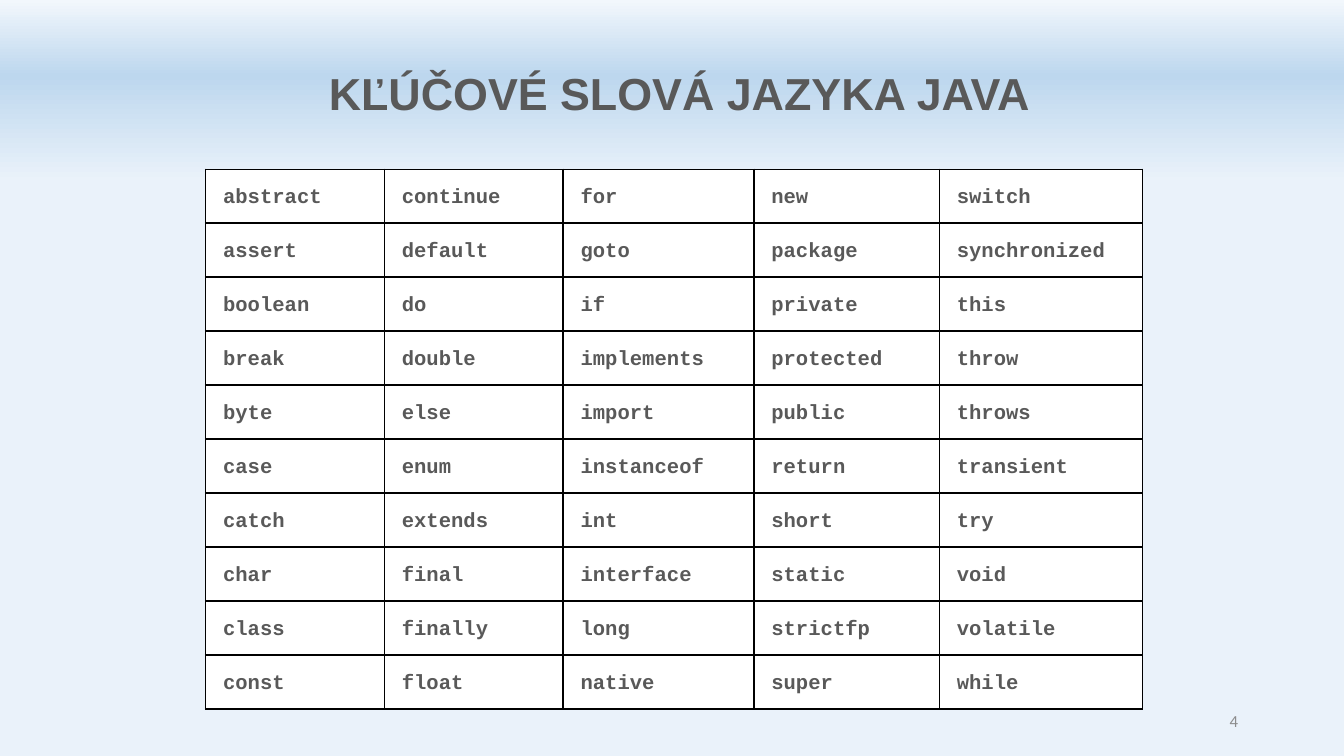
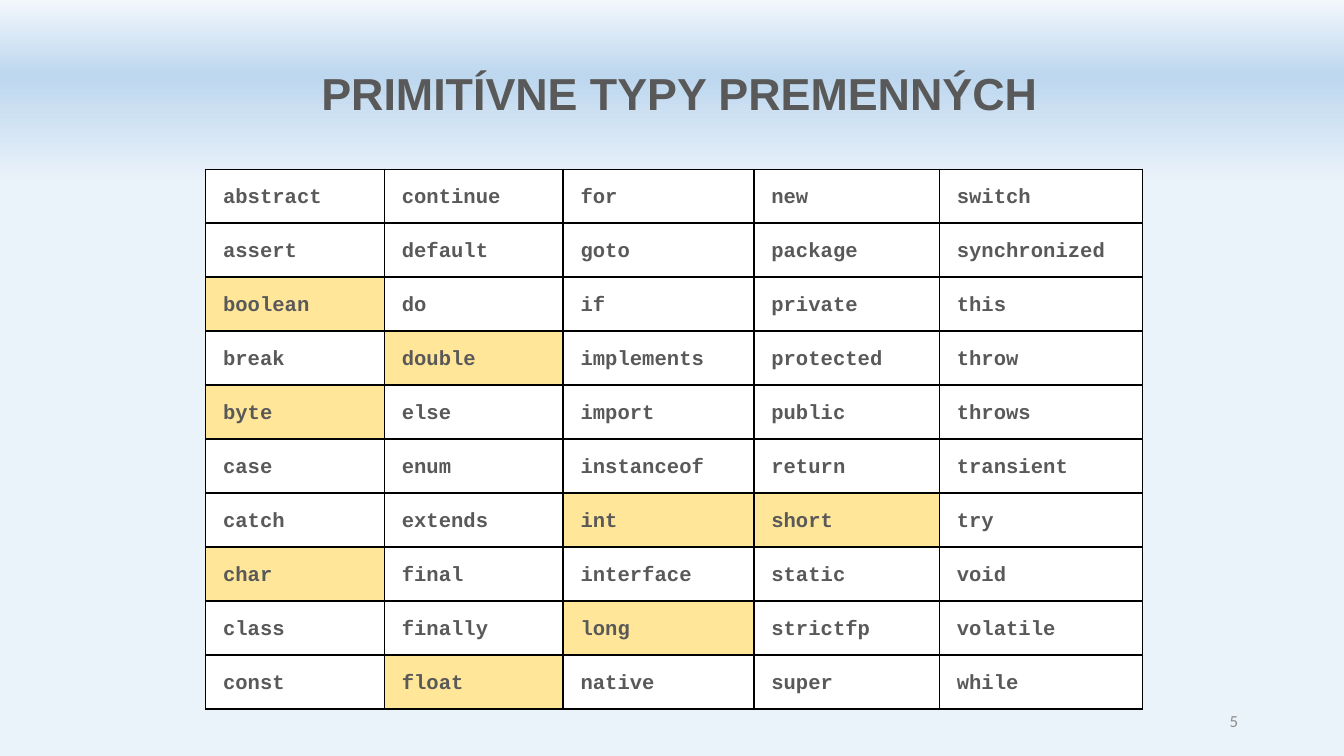
from copy import deepcopy

from pptx import Presentation
from pptx.dml.color import RGBColor
from pptx.enum.text import MSO_ANCHOR, MSO_AUTO_SIZE, PP_ALIGN
from pptx.oxml import parse_xml
from pptx.oxml.ns import nsdecls, qn
from pptx.util import Inches, Pt

TEXT, NUMBER, BORDER = "595959", "8C8C8C", "000000"
PLAIN, HIGHLIGHT = "FFFFFF", "FFE699"
BACKGROUND = [(0, "F2F7FC"), (0.10, "BDD7EE"), (0.24, "EAF2FA")]
COLUMN_WIDTHS = [1.33, 1.33, 1.42, 1.38, 1.51]
ROWS = 10
ROW_HEIGHT = 0.3  # minimum: the text and its margins make the rows taller

# The alphabetical list runs down each column in turn
KEYWORDS = """
abstract assert boolean break byte case catch char class const
continue default do double else enum extends final finally float
for goto if implements import instanceof int interface long native
new package private protected public return short static strictfp super
switch synchronized this throw throws transient try void volatile while
""".split()
PRIMITIVES = {"boolean", "byte", "char", "double", "float", "int", "long", "short"}
SLIDES = [
    ("4", "KĽÚČOVÉ SLOVÁ JAZYKA JAVA", set()),
    ("5", "PRIMITÍVNE TYPY PREMENNÝCH", PRIMITIVES),
]


def rgb(hex_color):
    """Turn a hex string into a colour."""
    return RGBColor.from_string(hex_color)


def style_text(paragraph, font_name, size, color, bold=False):
    """Format every run of a paragraph."""
    for run in paragraph.runs:
        run.font.name = font_name
        run.font.size = Pt(size)
        run.font.color.rgb = rgb(color)
        run.font.bold = bold


prs = Presentation()
prs.slide_width = Inches(10)
prs.slide_height = Inches(10 * 9 / 16)

# Shared background: a vertical gradient on the master
master = prs.slide_master
background = master.background.fill
background.gradient()
background.gradient_angle = 270
stop_list = master.element.find(".//" + qn("p:bg")).find(".//" + qn("a:gsLst"))
stop_list.append(deepcopy(stop_list[0]))
for stop, (position, color) in zip(master.background.fill.gradient_stops, BACKGROUND):
    stop.position = position
    stop.color.rgb = rgb(color)

for page, heading, highlighted in SLIDES:
    slide = prs.slides.add_slide(prs.slide_layouts[5])

    title = slide.shapes.title
    title.left, title.top = Inches(2.2), Inches(0.39)
    title.width, title.height = Inches(5.71), Inches(0.58)
    title_frame = title.text_frame
    title_frame.text = heading
    title_frame.auto_size = MSO_AUTO_SIZE.NONE
    title_frame.vertical_anchor = MSO_ANCHOR.TOP
    title_frame.margin_left = title_frame.margin_right = Inches(0.1)
    title_frame.margin_top = title_frame.margin_bottom = Inches(0.1)
    title_frame.paragraphs[0].alignment = PP_ALIGN.CENTER
    style_text(title_frame.paragraphs[0], "Arial", 24, TEXT, bold=True)

    keyword_frame = slide.shapes.add_table(
        ROWS, len(COLUMN_WIDTHS), Inches(1.53), Inches(1.26),
        Inches(sum(COLUMN_WIDTHS)), Inches(3.97))
    keywords = keyword_frame.table
    keywords.first_row = keywords.horz_banding = False
    for column, width in zip(keywords.columns, COLUMN_WIDTHS):
        column.width = Inches(width)
    for row in keywords.rows:
        row.height = Inches(ROW_HEIGHT)
    keyword_frame.height = Inches(3.97)

    for index, word in enumerate(KEYWORDS):
        cell = keywords.cell(index % ROWS, index // ROWS)
        cell.text_frame.text = word
        cell.margin_left = cell.margin_right = Inches(0.07)
        cell.margin_top = cell.margin_bottom = Inches(0.1)
        entry = cell.text_frame.paragraphs[0]
        entry.line_spacing = 1.15
        entry_properties = entry._p.get_or_add_pPr()
        entry_properties.set("marL", str(Inches(0.06)))
        entry_properties.set("indent", "0")
        style_text(entry, "Courier New", 11, TEXT, bold=True)
        cell_properties = cell._tc.get_or_add_tcPr()
        for side in ("lnL", "lnR", "lnT", "lnB"):
            cell_properties.append(parse_xml(
                f'<a:{side} {nsdecls("a")} w="{Pt(1)}"><a:solidFill>'
                f'<a:srgbClr val="{BORDER}"/></a:solidFill></a:{side}>'))
        cell.fill.solid()
        cell.fill.fore_color.rgb = rgb(HIGHLIGHT if word in highlighted else PLAIN)

    page_number = slide.shapes.add_textbox(
        Inches(7.06), Inches(5.21), Inches(2.25), Inches(0.3)).text_frame
    page_number.word_wrap = True
    page_number.vertical_anchor = MSO_ANCHOR.MIDDLE
    page_number.text = page
    page_number.paragraphs[0].alignment = PP_ALIGN.RIGHT
    style_text(page_number.paragraphs[0], "Calibri", 9, NUMBER)

prs.save("out.pptx")
